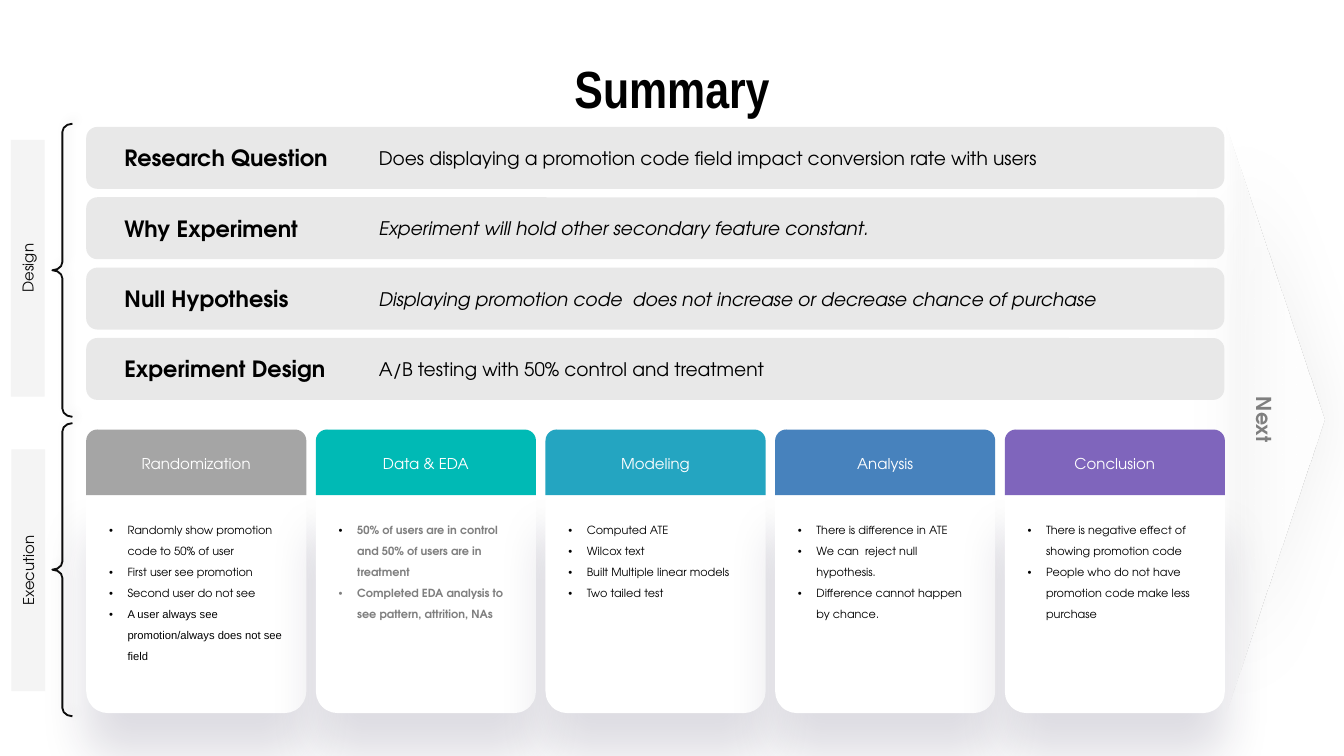
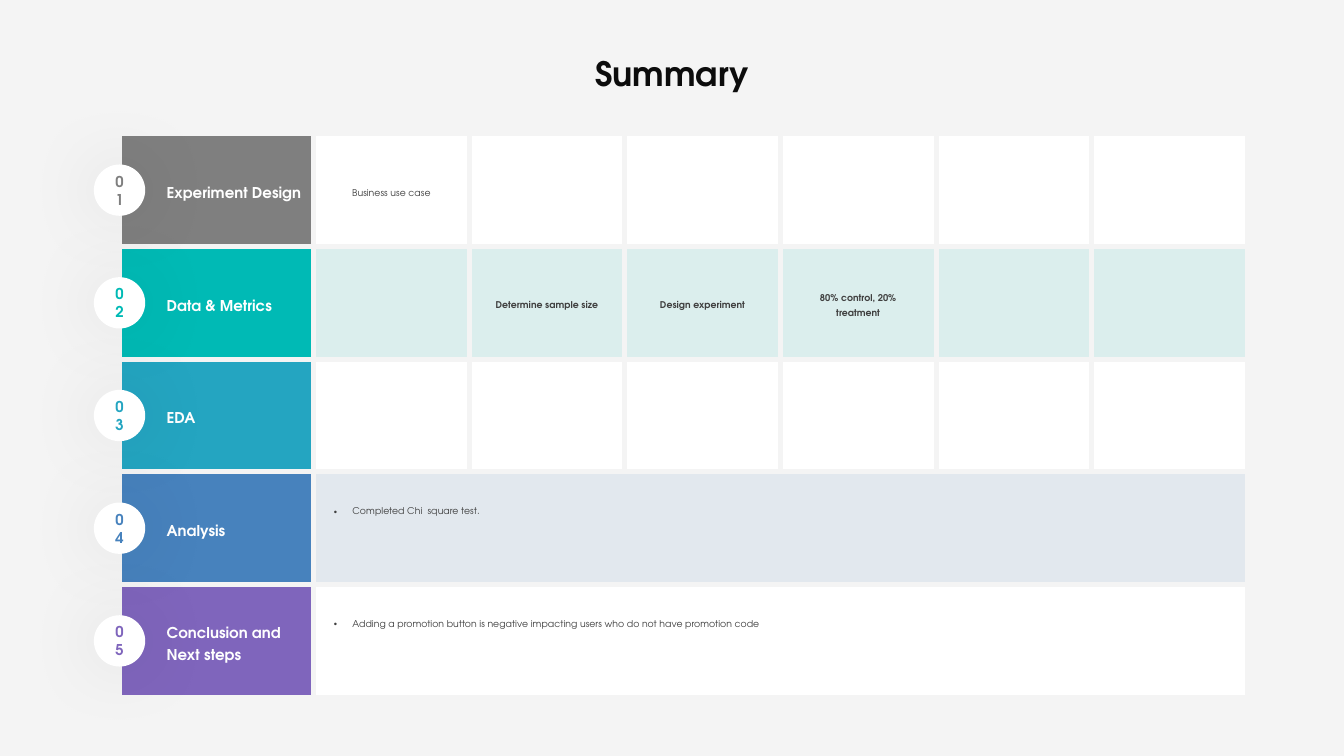
from copy import deepcopy

from lxml import etree
from pptx import Presentation
from pptx.dml.color import RGBColor
from pptx.enum.shapes import MSO_SHAPE
from pptx.enum.text import MSO_ANCHOR, MSO_AUTO_SIZE, PP_ALIGN
from pptx.oxml.ns import qn
from pptx.util import Cm, Pt

BRACE = MSO_SHAPE.LEFT_BRACE
CARD = MSO_SHAPE.ROUND_2_SAME_RECTANGLE
CIRCLE = MSO_SHAPE.OVAL
RECTANGLE = MSO_SHAPE.RECTANGLE
ROUNDED = MSO_SHAPE.ROUNDED_RECTANGLE
TRIANGLE = MSO_SHAPE.FLOWCHART_EXTRACT
TOP, MIDDLE = MSO_ANCHOR.TOP, MSO_ANCHOR.MIDDLE
LEFT, CENTER = PP_ALIGN.LEFT, PP_ALIGN.CENTER
NO_AUTOFIT = MSO_AUTO_SIZE.NONE

WHITE = RGBColor(0xFF, 0xFF, 0xFF)
BLACK = RGBColor(0x00, 0x00, 0x00)
INK = RGBColor(0x0C, 0x0C, 0x0C)
CHARCOAL = RGBColor(0x3F, 0x3F, 0x3F)
GRAY = RGBColor(0x7F, 0x7F, 0x7F)
SILVER = RGBColor(0xA5, 0xA5, 0xA5)
BAR = RGBColor(0xE8, 0xE8, 0xE8)
PALE = RGBColor(0xF4, 0xF4, 0xF4)
NEAR_WHITE = RGBColor(0xFA, 0xFA, 0xFA)
NAVY = RGBColor(0x22, 0x1B, 0x43)
TEAL = RGBColor(0x00, 0xBA, 0xB5)
CYAN = RGBColor(0x24, 0xA5, 0xC1)
BLUE = RGBColor(0x47, 0x82, 0xBD)
PURPLE = RGBColor(0x7F, 0x65, 0xBC)

FONT = "TeX Gyre Adventor"
SHAPE_MARGINS = (0.19, 0.1, 0.19, 0.1)
NO_MARGINS = (0, 0, 0, 0)

# Shadows: colour, opacity %, blur pt, distance pt, direction degrees
CARD_SHADOW = (NAVY, 15, 26, 22, 90)
BRACE_SHADOW = (BLACK, 10, 5, 3, 315)
ARROW_SHADOW = (BLACK, 5, 35, 3, 0)
CIRCLE_SHADOW = (BLACK, 10, 40, 0, 0)

DESIGN = [
    ("Research Question", "Does displaying a promotion code field impact conversion rate with users", False),
    ("Why Experiment", "Experiment will hold other secondary feature constant.", True),
    ("Null Hypothesis", "Displaying promotion code  does not increase or decrease chance of purchase", True),
    ("Experiment Design", "A/B testing with 50% control and treatment", False),
]

# Heading, heading colour, list colour, bold, font of the last item, items
EXECUTION = [
    ("Randomization", SILVER, BLACK, False, "Arial",
     ["Randomly show promotion code to 50% of user", "First user see promotion",
      "Second user do not see", "A user always see promotion/always does not see field"]),
    ("Data & EDA", TEAL, GRAY, True, FONT,
     ["50% of users are in control and 50% of users are in treatment",
      "Completed EDA analysis to see pattern, attrition, NAs"]),
    ("Modeling", CYAN, BLACK, False, FONT,
     ["Computed ATE", "Wilcox text", "Built Multiple linear models", "Two tailed test"]),
    ("Analysis", BLUE, BLACK, False, FONT,
     ["There is difference in ATE", "We can  reject null hypothesis.",
      "Difference cannot happen by chance."]),
    ("Conclusion", PURPLE, BLACK, False, FONT,
     ["There is negative effect of showing promotion code",
      "People who do not have promotion code make less purchase"]),
]

# Stage, colour, tinted cells, bold, texts by column, text across all columns
STAGES = [
    ("Experiment Design", GRAY, False, False, {1: "Business use case"}, None),
    ("Data & Metrics", TEAL, True, True,
     {2: "Determine sample size", 3: "Design experiment", 4: "80% control, 20% treatment"}, None),
    ("EDA", CYAN, False, False, {}, None),
    ("Analysis", BLUE, True, False, {}, "Completed Chi  square test."),
    ("Conclusion and Next steps", PURPLE, False, False, {},
     "Adding a promotion button is negative impacting users who do not have promotion code"),
]


def add_color(parent, color, opacity=100):
    element = etree.SubElement(parent, qn("a:srgbClr"), val=str(color))
    if opacity < 100:
        etree.SubElement(element, qn("a:alpha"), val=str(opacity * 1000))


class Deck:
    def __init__(self):
        self.presentation = Presentation()
        self.presentation.slide_width = Cm(25.4)
        self.presentation.slide_height = Cm(14.29)
        self.slide = None

    def layout_with_lists(self, count):
        """Widen the title and content layout to the given number of lists."""
        layout = self.presentation.slide_layouts[1]
        body = layout.placeholders[1].element
        for number in range(1, count):
            extra = deepcopy(body)
            extra.find(".//" + qn("p:cNvPr")).set("id", str(100 + number))
            extra.find(".//" + qn("p:ph")).set("idx", str(20 + number))
            body.addnext(extra)
        return layout

    def new_slide(self, layout, background):
        self.slide = self.presentation.slides.add_slide(layout)
        fill = self.slide.background.fill
        fill.solid()
        fill.fore_color.rgb = background

    def frame(self, shape, margins, anchor=MIDDLE):
        frame = shape.text_frame
        frame.word_wrap = True
        frame.auto_size = NO_AUTOFIT
        frame.vertical_anchor = anchor
        (frame.margin_left, frame.margin_top,
         frame.margin_right, frame.margin_bottom) = map(Cm, margins)
        return frame

    def add_text(self, paragraph, text, size, color, bold=False, italic=False,
                 font=FONT, align=LEFT, spacing=1.0):
        paragraph.alignment = align
        paragraph.line_spacing = spacing
        paragraph.space_before = Pt(0)
        run = paragraph.add_run()
        run.text = text
        run.font.size = Pt(size)
        run.font.name = font
        run.font.bold = bold
        run.font.italic = italic
        run.font.color.rgb = color

    def bullet(self, paragraph, color):
        properties = paragraph._p.get_or_add_pPr()
        properties.set("marL", str(Cm(0.35)))
        properties.set("indent", str(-Cm(0.35)))
        add_color(etree.SubElement(properties, qn("a:buClr")), color)
        etree.SubElement(properties, qn("a:buFont"), typeface="Arial")
        etree.SubElement(properties, qn("a:buChar"), char="•")

    def place(self, placeholder, box):
        """Move a placeholder and bring it to the front."""
        placeholder.left, placeholder.top, placeholder.width, placeholder.height = map(Cm, box)
        self.slide.shapes.element.append(placeholder.element)

    def title(self, text, box, margins, **style):
        title = self.slide.shapes.title
        self.place(title, box)
        frame = self.frame(title, margins)
        self.add_text(frame.paragraphs[0], text, bold=True, align=CENTER, **style)

    def bullet_list(self, placeholder, box, items, color, bold, last_font):
        self.place(placeholder, box)
        frame = self.frame(placeholder, NO_MARGINS, TOP)
        for index, item in enumerate(items):
            paragraph = frame.add_paragraph() if index else frame.paragraphs[0]
            font = last_font if index == len(items) - 1 else FONT
            self.add_text(paragraph, item, 6, color, bold, font=font, spacing=1.57)
            self.bullet(paragraph, color if index else BLACK)

    def shape(self, kind, box, fill=None, line=None, shadow=None, adjust=(), rotation=0):
        shape = self.slide.shapes.add_shape(kind, *map(Cm, box))
        shape.rotation = rotation
        for index, value in enumerate(adjust):
            shape.adjustments[index] = value
        if fill is None:
            shape.fill.background()
        else:
            shape.fill.solid()
            shape.fill.fore_color.rgb = fill
        if line is None:
            shape.line.fill.background()
        else:
            shape.line.color.rgb = line
            shape.line.width = Pt(1)
        shape.shadow.inherit = False
        if shadow:
            color, opacity, blur, distance, direction = shadow
            effects = shape.element.spPr.find(qn("a:effectLst"))
            outer = etree.SubElement(
                effects, qn("a:outerShdw"), blurRad=str(Pt(blur)), dist=str(Pt(distance)),
                dir=str(direction * 60000), algn="ctr", rotWithShape="0")
            add_color(outer, color, opacity)
        return shape

    def label(self, shape, text, size, color, bold=False):
        frame = self.frame(shape, SHAPE_MARGINS)
        self.add_text(frame.paragraphs[0], text, size, color, bold, align=CENTER)

    def gradient(self, shape, stops):
        shape.fill.gradient()
        shape.fill.gradient_angle = 270
        stop_list = shape.element.spPr.find(".//" + qn("a:gsLst"))
        for stop in list(stop_list):
            stop_list.remove(stop)
        for position, color, opacity in stops:
            stop = etree.SubElement(stop_list, qn("a:gs"), pos=str(position * 1000))
            add_color(stop, color, opacity)

    def text(self, box, text, size, color, rotation=0, **style):
        shape = self.slide.shapes.add_textbox(*map(Cm, box))
        shape.rotation = rotation
        frame = self.frame(shape, NO_MARGINS)
        self.add_text(frame.paragraphs[0], text, size, color, **style)

    def table(self, left, top, widths, heights):
        table = self.slide.shapes.add_table(
            len(heights), len(widths), Cm(left), Cm(top), Cm(sum(widths)), Cm(sum(heights))).table
        table.first_row = table.horz_banding = False
        for column, width in zip(table.columns, widths):
            column.width = Cm(width)
        for row, height in zip(table.rows, heights):
            row.height = Cm(height)
        return table

    def cell(self, cell, fill, opacity=100):
        cell.fill.solid()
        cell.fill.fore_color.rgb = fill
        properties = cell._tc.get_or_add_tcPr()
        if opacity < 100:
            etree.SubElement(properties.find(".//" + qn("a:srgbClr")), qn("a:alpha"),
                             val=str(opacity * 1000))
        for index, side in enumerate(("a:lnL", "a:lnR", "a:lnT", "a:lnB")):
            border = etree.Element(qn(side), w=str(Pt(3)))
            add_color(etree.SubElement(border, qn("a:solidFill")), PALE)
            properties.insert(index, border)

    def cell_text(self, cell, text, margins, size, color, **style):
        cell.vertical_anchor = MIDDLE
        (cell.margin_left, cell.margin_top,
         cell.margin_right, cell.margin_bottom) = map(Cm, margins)
        paragraph = cell.text_frame.paragraphs[0]
        self.add_text(paragraph, text, size, color, **style)
        return paragraph


def build_overview(deck):
    deck.new_slide(deck.layout_with_lists(len(EXECUTION)), WHITE)
    lists = list(deck.slide.placeholders)[1:]

    # Arrow to the next step
    arrow = deck.shape(TRIANGLE, (18.57, 7.01, 11.07, 1.85), WHITE,
                       shadow=ARROW_SHADOW, rotation=90)
    deck.gradient(arrow, [(0, WHITE, 100), (37, WHITE, 100), (75, NEAR_WHITE, 100), (100, PALE, 0)])

    # Execution cards
    for index, (heading, fill, color, bold, last_font, items) in enumerate(EXECUTION):
        left = 1.63 + index * 4.34
        deck.shape(CARD, (left, 9.36, 4.16, 4.12), WHITE, shadow=CARD_SHADOW, adjust=(0, 0.1))
        header = deck.shape(CARD, (left, 8.12, 4.16, 1.24), fill, adjust=(0.17, 0))
        deck.label(header, heading, 8, WHITE)
        deck.bullet_list(lists[index], (left + 0.43, 9.75, 3.28, 3.05),
                         items, color, bold, last_font)

    # Design bars
    for index, (name, detail, italic) in enumerate(DESIGN):
        top = 2.4 + index * 1.33
        deck.shape(ROUNDED, (1.63, top, 21.51, 1.17), BAR, adjust=(0.18,))
        deck.text((2.35, top + 0.37, 4.8, 0.43), name, 12, BLACK, bold=True)
        deck.text((7.16, top + 0.37, 14.7, 0.43), detail, 10, BLACK, italic=italic)
    deck.text((22.45, 7.67, 2.9, 0.53), "Next", 11, GRAY, rotation=90, bold=True, align=CENTER)

    # Braces and side tabs
    for name, brace_top, box in (("Design", 2.34, (-1.9, 4.75, 4.85, 0.64)),
                                 ("Execution", 8.0, (-1.75, 10.46, 4.57, 0.64))):
        deck.shape(BRACE, (0.99, brace_top, 0.38, 5.54), line=INK,
                   shadow=BRACE_SHADOW, adjust=(0.41, 0.5))
        tab = deck.shape(RECTANGLE, box, PALE, rotation=270)
        deck.label(tab, name, 8, INK)

    deck.title("Summary", (1.27, 1.14, 22.86, 1.04), (0.25,) * 4,
               size=28, color=BLACK, font="Arial Narrow")


def build_stages(deck):
    deck.new_slide(deck.presentation.slide_layouts[5], PALE)
    deck.title("Summary", (5.74, 0.84, 13.92, 1.09), SHAPE_MARGINS, size=18, color=INK)

    # Stage table
    left, top, row_height, diameter = 2.26, 2.53, 2.13, 0.97
    table = deck.table(left, top, [3.67] + [2.94] * 6, [row_height] * len(STAGES))
    for row, (name, color, tinted, bold, texts, wide_text) in enumerate(STAGES):
        deck.cell(table.cell(row, 0), color)
        deck.cell_text(table.cell(row, 0), name, (0.89, 0, 0, 0), 8, WHITE, bold=True, spacing=1.6)
        for column in range(1, 7):
            deck.cell(table.cell(row, column), color if tinted else WHITE, 10 if tinted else 100)
        for column, text in texts.items():
            deck.cell_text(table.cell(row, column), text, (0.38, 0, 0.38, 0), 5, CHARCOAL,
                           bold=bold, align=CENTER, spacing=1.8)
        if wide_text:
            table.cell(row, 1).merge(table.cell(row, 6))
            paragraph = deck.cell_text(table.cell(row, 1), wide_text, (0.38, 0, 0.38, 0.75),
                                       5, CHARCOAL, spacing=1.8)
            deck.bullet(paragraph, CHARCOAL)

    # Numbered circles on the left edge
    for row, stage in enumerate(STAGES):
        circle_top = top + row * row_height + (row_height - diameter) / 2
        circle = deck.shape(CIRCLE, (left - diameter / 2, circle_top, diameter, diameter),
                            WHITE, shadow=CIRCLE_SHADOW)
        deck.label(circle, f"{row + 1:02d}", 8, stage[1], bold=True)


def main():
    deck = Deck()
    build_overview(deck)
    build_stages(deck)
    deck.presentation.save("out.pptx")


if __name__ == "__main__":
    main()
